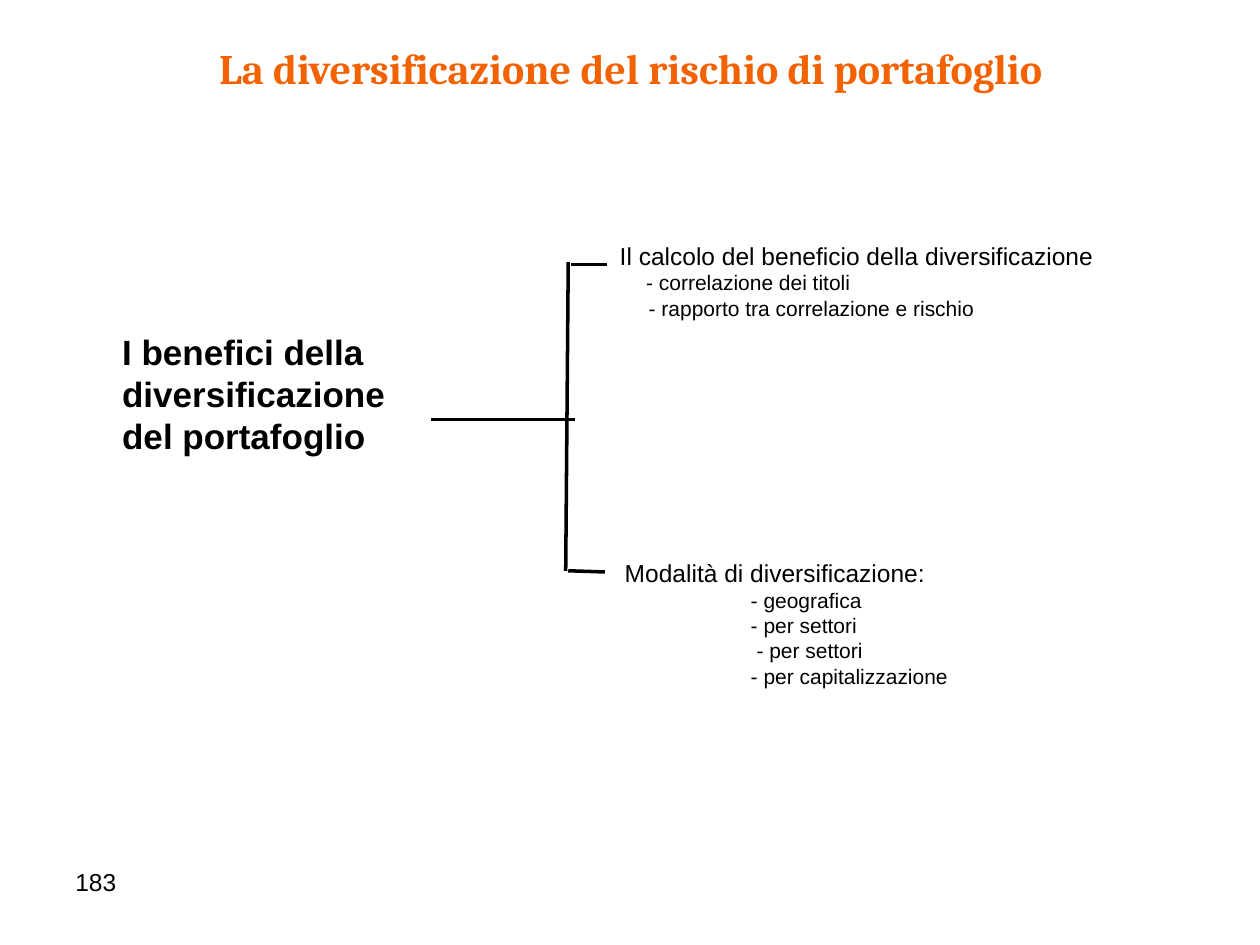
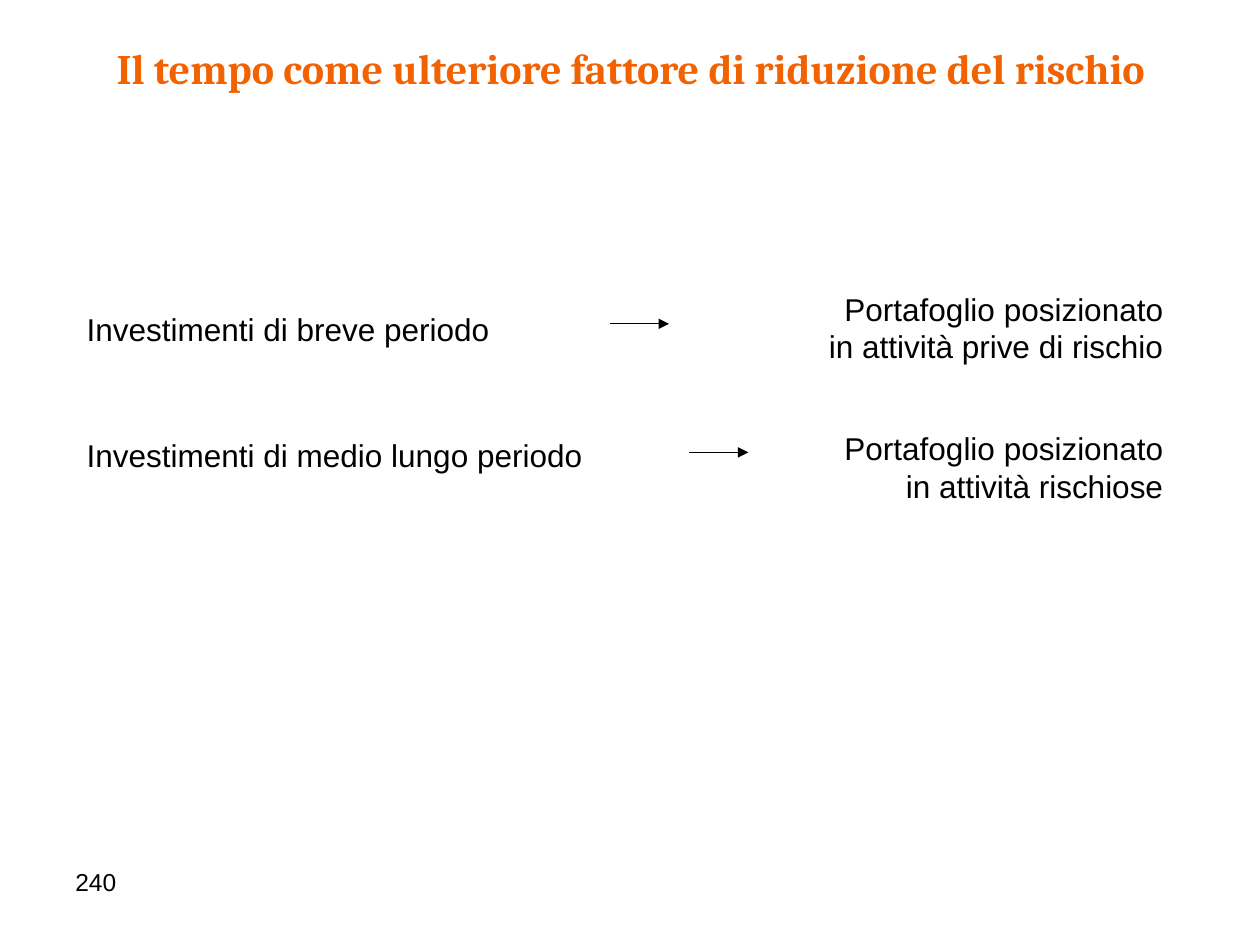
from lxml import etree
from pptx import Presentation
from pptx.dml.color import RGBColor
from pptx.enum.shapes import MSO_CONNECTOR
from pptx.enum.text import MSO_ANCHOR, PP_ALIGN
from pptx.oxml.ns import qn
from pptx.util import Inches, Pt

WIDE, HIGH = Inches(10), Inches(7.5)
ORANGE, BLACK = "F26200", "000000"
HEAD, BODY = "Cambria", "Arial"
LEFT, MID, RIGHT = PP_ALIGN.LEFT, PP_ALIGN.CENTER, PP_ALIGN.RIGHT
TOP, CORE = MSO_ANCHOR.TOP, MSO_ANCHOR.MIDDLE
STRAIGHT = MSO_CONNECTOR.STRAIGHT


def paint(hue):
    return RGBColor.from_string(hue)


def col(share):
    """Percent of the slide's width."""
    return round(WIDE * share / 100)


def row(share):
    """Percent of the slide's height."""
    return round(HIGH * share / 100)


def add_text(slide, area, lines, font=BODY, hue=BLACK, bold=False,
             align=LEFT, anchor=TOP, pad=(0.1, 0.05)):
    """Put lines of (text, size, indent) in an area given in percent."""
    x, y, w, h = area
    frame = slide.shapes.add_textbox(col(x), row(y), col(w), row(h)).text_frame
    frame.word_wrap = True
    frame.vertical_anchor = anchor
    frame.margin_left = frame.margin_right = Inches(pad[0])
    frame.margin_top = frame.margin_bottom = Inches(pad[1])
    for i, (text, size, indent) in enumerate(lines):
        para = frame.add_paragraph() if i else frame.paragraphs[0]
        para.alignment = align
        if indent:
            props = para._p.get_or_add_pPr()
            props.set("marL", str(col(indent)))
            props.set("indent", "0")
        run = para.add_run()
        run.text = text
        run.font.name = font
        run.font.size = Pt(size)
        run.font.bold = bold
        run.font.color.rgb = paint(hue)


def add_line(slide, start, end, width, arrow=False):
    line = slide.shapes.add_connector(
        STRAIGHT, col(start[0]), row(start[1]), col(end[0]), row(end[1]))
    line.line.color.rgb = paint(BLACK)
    line.line.width = Pt(width)
    if arrow:
        tip = etree.SubElement(line.line._get_or_add_ln(), qn("a:tailEnd"))
        tip.set("type", "triangle")
    etree.SubElement(line._element.spPr, qn("a:effectLst"))


def add_slide(deck, title, number, height):
    slide = deck.slides.add_slide(deck.slide_layouts[6])
    add_text(slide, (4.8, 3.87, 90.5, height), [(title, 24, 0)],
             HEAD, ORANGE, True, MID)
    add_text(slide, (5, 91.07, 23.3, 6.93), [(number, 14, 0)])
    return slide


def add_topic(slide, area, head, points):
    """Write a branch heading and its smaller, indented points."""
    add_text(slide, area, [(head, 14, 0)]
             + [(f"- {text}", 12, indent) for text, indent in points])


def add_tree(deck):
    slide = add_slide(
        deck, "La diversificazione del rischio di portafoglio", "183", 6.8)
    add_topic(slide, (48.6, 58.4, 43.9, 15.73),
              "Modalità di diversificazione:",
              [("geografica", 10), ("per settori", 10),
               ("per settori", 10.46), ("per capitalizzazione", 10)])
    for start, end in [((45.1, 27.73), (44.9, 60.4)),
                       ((45.3, 28), (48.2, 28)),
                       ((34.2, 44.4), (45.6, 44.4)),
                       ((45.1, 60.4), (48, 60.53))]:
        add_line(slide, start, end, 2)
    add_text(slide, (9.1, 30.27, 31, 22.67),
             [("I benefici della diversificazione", 20, 0),
              ("del portafoglio", 20, 0)],
             bold=True, anchor=CORE, pad=(0.06, 0.03))
    add_topic(slide, (48.2, 24.8, 41.1, 18.8),
              "Il calcolo del beneficio della diversificazione",
              [("correlazione dei titoli", 2.1),
               ("rapporto tra correlazione e rischio", 2.3)])


def add_terms(deck):
    slide = add_slide(
        deck, "Il tempo come ulteriore fattore di riduzione del rischio",
        "240", 12.13)
    terms = [
        ("Investimenti di breve periodo", 32.13, 34.3,
         "in attività prive di rischio", 30, 63.8, (48.4, 34.27)),
        ("Investimenti di medio lungo periodo", 45.47, 41.7,
         "in attività rischiose", 44.8, 65.8, (54.7, 47.87)),
    ]
    edge = 93.3
    for term, y, w, goal, top, x, start in terms:
        add_text(slide, (5.9, y, w, 5.33), [(term, 18, 0)])
        add_text(slide, (x, top, edge - x, 9.47),
                 [("Portafoglio posizionato", 18, 0), (goal, 18, 0)],
                 align=RIGHT)
        add_line(slide, start, (start[0] + 4.7, start[1]), 0.75, arrow=True)


def main():
    deck = Presentation()
    deck.slide_width, deck.slide_height = WIDE, HIGH
    add_tree(deck)
    add_terms(deck)
    deck.save("out.pptx")


if __name__ == "__main__":
    main()
